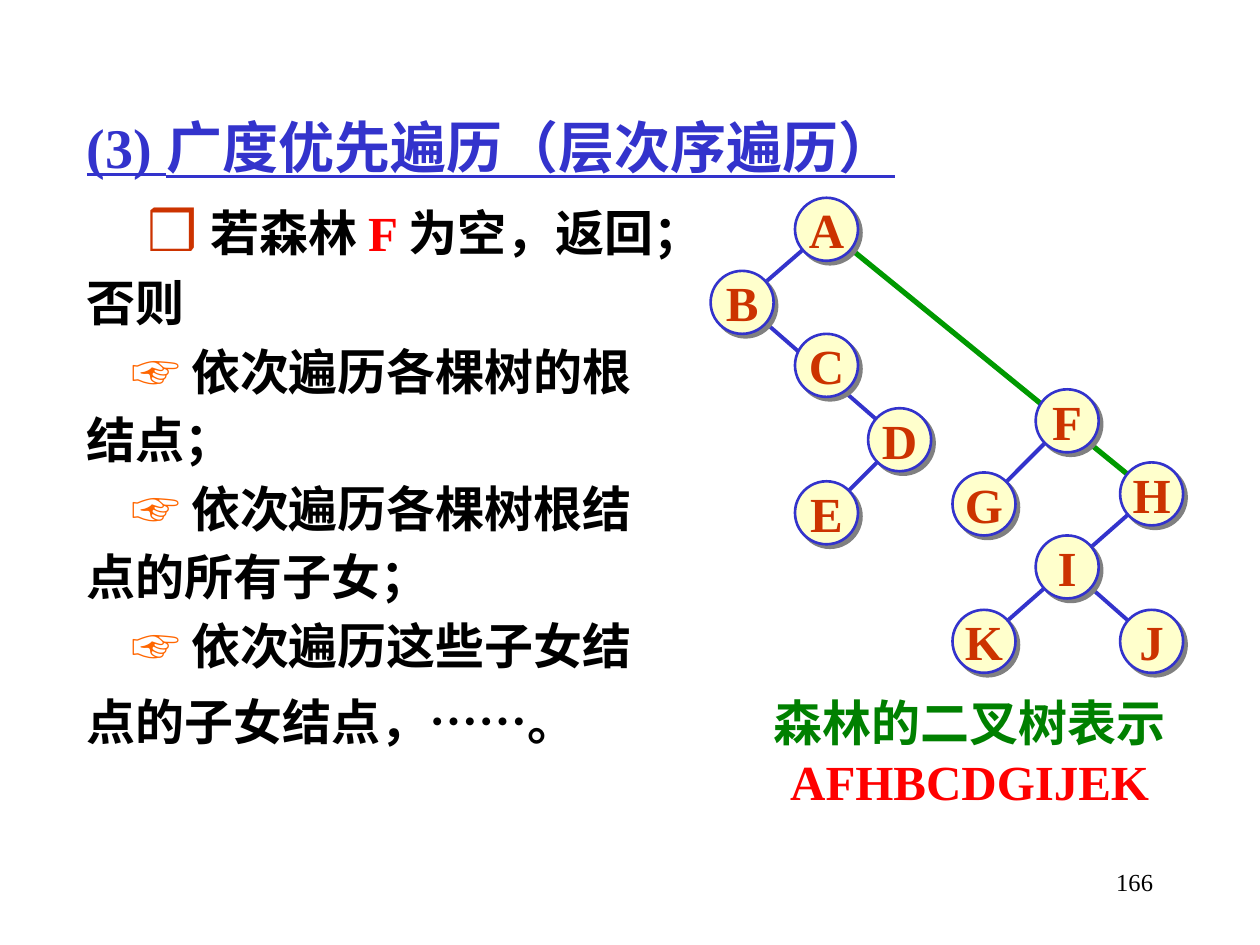
from dataclasses import dataclass

from lxml import etree
from pptx import Presentation
from pptx.dml.color import RGBColor
from pptx.enum import shapes, text
from pptx.oxml import ns
from pptx.util import Inches, Pt


@dataclass(frozen=True)
class Theme:
    font: str = "Times New Roman"
    blue: str = "3333CC"
    black: str = "000000"
    rust: str = "CC3300"
    red: str = "FF0000"
    orange: str = "FF6600"
    lime: str = "009900"
    green: str = "008000"
    cream: str = "FFFFCC"
    gray: str = "808080"
    head: float = 32
    body: float = 28
    small: float = 14
    gap: float = 5.6


T = Theme()
SIZE = 0.5  # node diameter

# Left and top of each tree node
NODES = {
    "A": (6.31, 1.57), "B": (5.64, 2.15), "C": (6.31, 2.65),
    "D": (6.89, 3.24), "E": (6.31, 3.82), "F": (8.22, 3.09),
    "G": (7.56, 3.75), "H": (8.89, 3.67), "I": (8.22, 4.25),
    "J": (8.89, 4.84), "K": (7.56, 4.84),
}
# Lines run behind any node between their two ends
EDGES = ["AB", "BD", "DE", "FG", "HK", "IJ"]
ROOTS = "AH"

HAND = ("☞", T.orange)
# First-line indent, then runs of text and colour
STEPS = [
    (0.48, [("❒ ", T.rust, T.head), ("若森林 ", T.black), ("F ", T.red),
            ("为空，返回；", T.black)]),
    (0, [("否则", T.black)]),
    (0.35, [HAND, (" 依次遍历各棵树的根", T.black)]),
    (0, [("结点；", T.black)]),
    (0.35, [HAND, (" 依次遍历各棵树根结", T.black)]),
    (0, [("点的所有子女；", T.black)]),
    (0.35, [HAND, (" 依次遍历这些子女结", T.black)]),
    (0, [("点的子女结点，……。", T.black)]),
]


def rgb(code):
    return RGBColor.from_string(code)


def write(par, words, color=T.black, size=T.body, bold=True, under=False):
    run = par.add_run()
    run.text = words
    font = run.font
    font.name, font.size = T.font, Pt(size)
    font.bold, font.underline = bold, under
    font.color.rgb = rgb(color)


def place(shape, left, top, width, height):
    shape.left, shape.top = Inches(left), Inches(top)
    shape.width, shape.height = Inches(width), Inches(height)
    frame = shape.text_frame
    frame.word_wrap = True
    frame.auto_size = text.MSO_AUTO_SIZE.NONE
    frame.vertical_anchor = text.MSO_ANCHOR.TOP
    return frame


def add_box(slide, *area):
    return place(slide.shapes.add_textbox(0, 0, 0, 0), *area)


def add_pars(frame, count):
    return [frame.paragraphs[0]] + [frame.add_paragraph()
                                    for _ in range(count - 1)]


def add_steps(frame):
    last = len(STEPS) - 1
    for i, (par, (dent, runs)) in enumerate(
            zip(add_pars(frame, len(STEPS)), STEPS)):
        par.space_before = Pt(0 if i == 0 else T.gap + 4 * (i == last))
        props = par._p.get_or_add_pPr()
        props.set("marL", "0")
        props.set("indent", str(Inches(dent)))
        etree.SubElement(props, ns.qn("a:buNone"))
        for run in runs:
            write(par, *run)


def effects(shape):
    props = shape._element.spPr
    return etree.SubElement(props, ns.qn("a:effectLst"))


def add_edge(slide, ends, color=T.blue, width=2.25):
    points = [Inches(v + SIZE / 2) for name in ends for v in NODES[name]]
    line = slide.shapes.add_connector(shapes.MSO_CONNECTOR.STRAIGHT, *points)
    line.line.color.rgb = rgb(color)
    line.line.width = Pt(width)
    effects(line)


def add_node(slide, name, left, top):
    node = slide.shapes.add_shape(
        shapes.MSO_SHAPE.OVAL, Inches(left), Inches(top),
        Inches(SIZE), Inches(SIZE))
    node.fill.solid()
    node.fill.fore_color.rgb = rgb(T.cream)
    node.line.color.rgb = rgb(T.blue)
    node.line.width = Pt(1.5)
    # Hard shadow to the lower right
    shade = etree.SubElement(effects(node), ns.qn("a:outerShdw"),
                             dist=str(Pt(2.8)), dir="2700000", algn="ctr")
    etree.SubElement(shade, ns.qn("a:srgbClr"), val=T.gray)
    frame = node.text_frame
    frame.word_wrap = False
    frame.margin_left = frame.margin_right = 0
    frame.margin_top = frame.margin_bottom = 0
    frame.vertical_anchor = text.MSO_ANCHOR.MIDDLE
    par = frame.paragraphs[0]
    par.alignment = text.PP_ALIGN.CENTER
    write(par, name, T.rust)


def main():
    prs = Presentation()
    prs.slide_width, prs.slide_height = Inches(10), Inches(7.5)
    slide = prs.slides.add_slide(prs.slide_layouts[1])

    # Heading and steps
    par = place(slide.shapes.title, 0.59, 0.84, 7.33, 0.65).paragraphs[0]
    par.alignment = text.PP_ALIGN.LEFT
    write(par, "(3) 广度优先遍历（层次序遍历）", T.blue, T.head, under=True)
    add_steps(place(slide.placeholders[1], 0.59, 1.5, 7.33, 4.62))

    # Binary tree
    add_edge(slide, ROOTS, T.lime, 3)
    for ends in EDGES:
        add_edge(slide, ends)
    for name, spot in NODES.items():
        add_node(slide, name, *spot)

    # Caption
    lines = [("森林的二叉树表示", T.green), ("AFHBCDGIJEK", T.red)]
    frame = add_box(slide, 5.8, 5.45, 3.79, 1.5)
    for par, line in zip(add_pars(frame, len(lines)), lines):
        par.alignment = text.PP_ALIGN.CENTER
        write(par, *line)

    # Slide number
    par = add_box(slide, 7.17, 6.83, 2.08, 0.5).paragraphs[0]
    par.alignment = text.PP_ALIGN.RIGHT
    write(par, "166", size=T.small, bold=False)

    prs.save("out.pptx")


if __name__ == "__main__":
    main()
